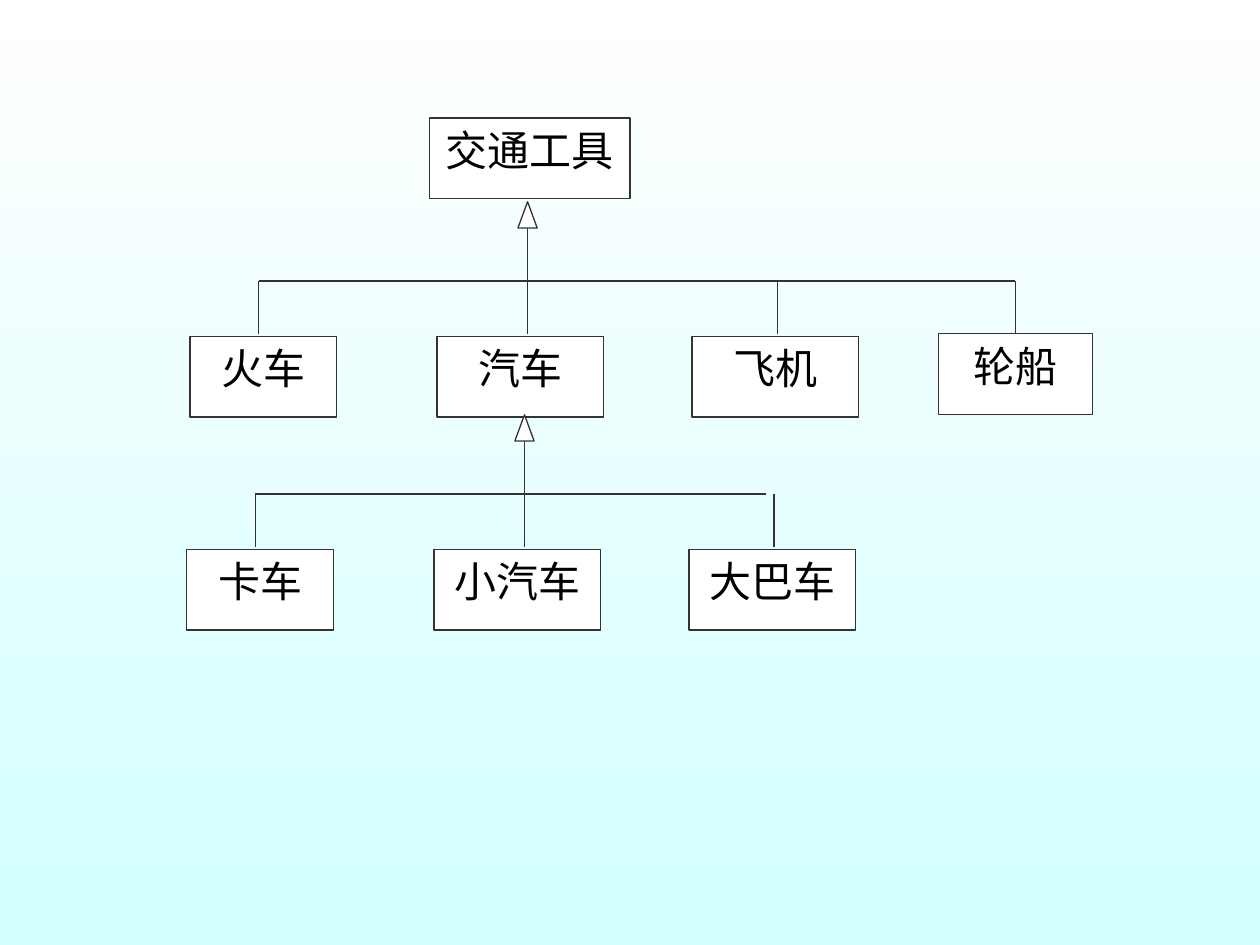
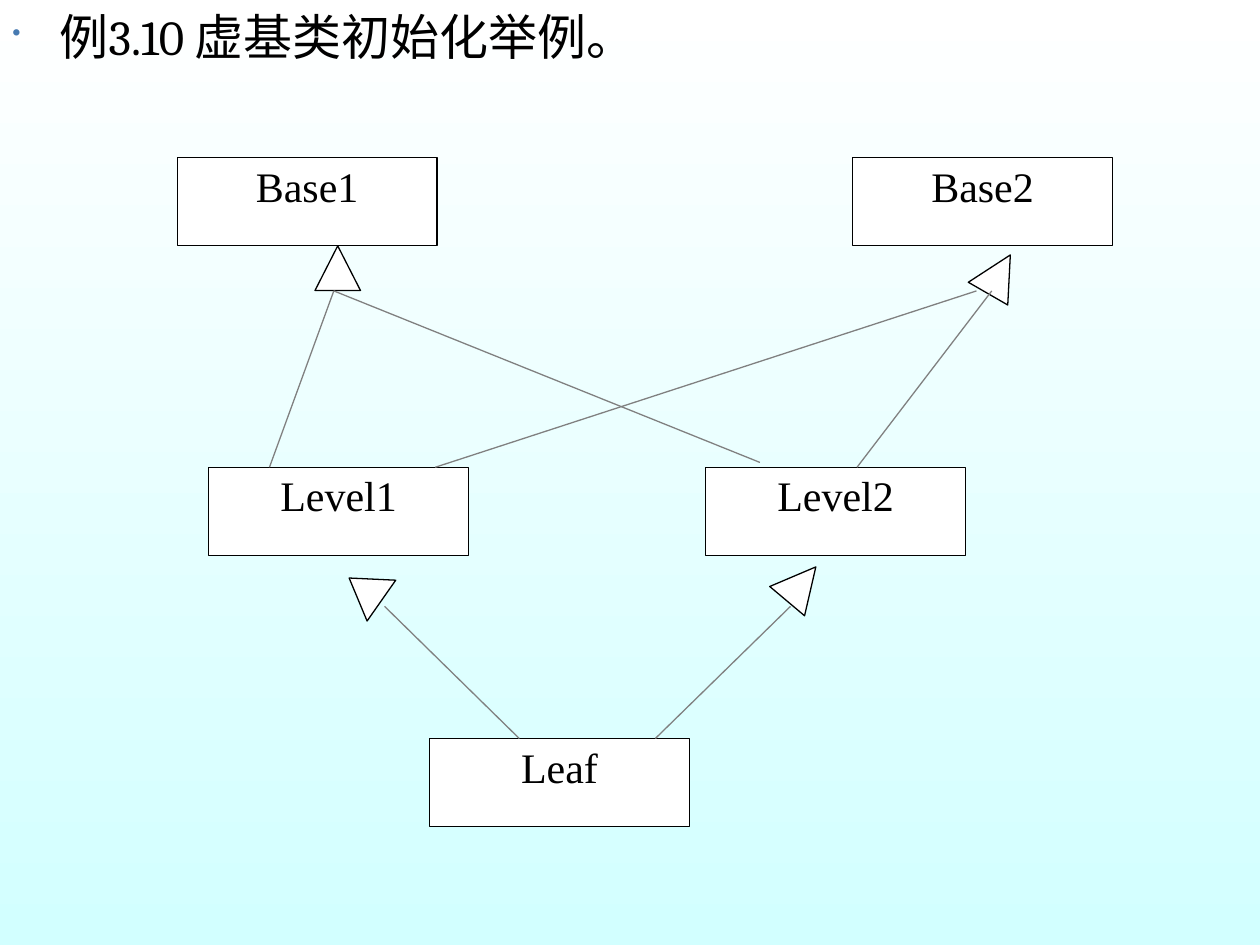
import lxml.etree
import pptx
import pptx.dml.color
import pptx.enum.shapes
import pptx.enum.text
import pptx.oxml.ns
import pptx.util

Pt = pptx.util.Pt
qn = pptx.oxml.ns.qn
SHAPES = pptx.enum.shapes.MSO_SHAPE

COLORS = {
    "white": "FFFFFF",
    "aqua": "D2FFFF",
    "black": "000000",
    "charcoal": "333333",
    "gray": "808080",
    "bullet": "477AB1",
}
LINE_WIDTH = 0.75
TREE_BOX_HEIGHT = 46
CLASS_BOX_SIZE = (148.5, 50.5)


def rgb(name):
    return pptx.dml.color.RGBColor.from_string(COLORS[name])


def add_gradient_slide(presentation):
    slide = presentation.slides.add_slide(presentation.slide_layouts[6])
    fill = slide.background.fill
    fill.gradient()
    fill.gradient_angle = 270
    for stop, color in zip(fill.gradient_stops, ("white", "aqua")):
        stop.color.rgb = rgb(color)
    return slide


def add_run(paragraph, text, font, size):
    run = paragraph.add_run()
    run.text = text
    run.font.name = font
    run.font.size = Pt(size)
    run.font.color.rgb = rgb("black")


def add_outlined(slide, kind, left, top, width, height, outline, rotation=0):
    shape = slide.shapes.add_shape(kind, Pt(left), Pt(top), Pt(width), Pt(height))
    shape.shadow.inherit = False
    shape.rotation = rotation
    shape.fill.solid()
    shape.fill.fore_color.rgb = rgb("white")
    shape.line.color.rgb = rgb(outline)
    shape.line.width = Pt(LINE_WIDTH)
    return shape


def add_box(slide, label, left, top, width, height, outline, font, inset):
    """Add a white rectangle whose label is centred at its top edge."""
    box = add_outlined(slide, SHAPES.RECTANGLE, left, top, width, height, outline)
    frame = box.text_frame
    frame.word_wrap = True
    frame.vertical_anchor = pptx.enum.text.MSO_ANCHOR.TOP
    frame.margin_left = frame.margin_right = Pt(7.2)
    frame.margin_top = frame.margin_bottom = Pt(inset)
    paragraph = frame.paragraphs[0]
    paragraph.alignment = pptx.enum.text.PP_ALIGN.CENTER
    add_run(paragraph, label, font, 24)


def add_line(slide, start, end, color):
    line = slide.shapes.add_connector(
        pptx.enum.shapes.MSO_CONNECTOR.STRAIGHT, *map(Pt, start + end))
    line.line.color.rgb = rgb(color)
    line.line.width = Pt(LINE_WIDTH)
    lxml.etree.SubElement(line._element.spPr, qn("a:effectLst"))


def add_tree_box(slide, label, left, top, width):
    add_box(slide, label, left, top, width, TREE_BOX_HEIGHT, "charcoal", "Calibri", 3.6)


def add_subclasses(slide, arrow_top, trunk, bus_right, children):
    """Add an arrow, a bus line and children given as (label, left, width, drop x, lift)."""
    bus = arrow_top + 45.25
    drop_bottom = arrow_top + 75.75
    add_line(slide, (children[0][3], bus), (bus_right, bus), "charcoal")
    add_line(slide, (trunk, arrow_top + 14.5), (trunk, bus), "charcoal")
    add_outlined(slide, SHAPES.ISOSCELES_TRIANGLE,
                 trunk - 5.5, arrow_top, 11, 15, "charcoal")
    for label, left, width, drop, lift in children:
        add_line(slide, (drop, bus), (drop, drop_bottom), "charcoal")
        add_tree_box(slide, label, left, arrow_top + 77 - lift, width)


def add_bulleted_title(slide, text):
    box = slide.shapes.add_textbox(Pt(0), Pt(0), Pt(703.5), Pt(50.5))
    box.text_frame.word_wrap = True
    paragraph = box.text_frame.paragraphs[0]
    properties = paragraph._p.get_or_add_pPr()
    properties.set("marL", str(Pt(27)))
    properties.set("indent", str(Pt(-27)))
    bullet_color = lxml.etree.SubElement(properties, qn("a:buClr"))
    lxml.etree.SubElement(bullet_color, qn("a:srgbClr"), val=COLORS["bullet"])
    lxml.etree.SubElement(properties, qn("a:buSzPct"), val="50000")
    lxml.etree.SubElement(properties, qn("a:buChar"), char="•")
    add_run(paragraph, text, "Cambria", 28)


def build_vehicle_slide(presentation):
    slide = add_gradient_slide(presentation)
    add_tree_box(slide, "交通工具", 245.5, 67.5, 114.5)
    add_subclasses(slide, 115.25, 301.5, 580.25, [
        ("火车", 108.5, 84, 147.75, 0),
        ("汽车", 249.75, 95, 301.5, 0),
        ("飞机", 395.5, 95, 444.25, 0),
        ("轮船", 536.5, 88, 580.25, 1.5),
    ])
    add_subclasses(slide, 237, 299.75, 437.75, [
        ("卡车", 106.75, 84, 146, 0),
        ("小汽车", 248, 95, 299.75, 0),
        ("大巴车", 393.75, 95, 442.25, 0),
    ])


def build_virtual_base_slide(presentation):
    slide = add_gradient_slide(presentation)
    add_bulleted_title(slide, "例3.10 虚基类初始化举例。")

    base_top, level_top, leaf_top = 90, 267, 422
    for label, left, top in [
        ("Base1", 101.25, base_top),
        ("Base2", 487.25, base_top),
        ("Level1", 119.25, level_top),
        ("Level2", 403.25, level_top),
        ("Leaf", 245.5, leaf_top),
    ]:
        add_box(slide, label, left, top, *CLASS_BOX_SIZE, "black", "Times New Roman", 1.5)

    for left, top, width, height, rotation in [
        (180, 140.5, 26, 25.5, 0),
        (558, 144, 26, 25.5, 30),
        (194.5, 325.5, 28.5, 22.5, 305),
        (445, 321, 26, 25.5, 40),
    ]:
        add_outlined(slide, SHAPES.FLOWCHART_EXTRACT,
                     left, top, width, height, "black", rotation)

    base_arrow, level_arrow = 166.25, 346.5
    for start, end in [
        ((190.75, base_arrow), (154, level_top)),
        ((190.75, base_arrow), (434.25, 264.25)),
        ((558, base_arrow), (248.75, level_top)),
        ((566.75, base_arrow), (489.75, level_top)),
        ((219.75, level_arrow), (296.75, leaf_top)),
        ((451.75, level_arrow), (374.5, leaf_top)),
    ]:
        add_line(slide, start, end, "gray")


def main():
    presentation = pptx.Presentation()
    presentation.slide_width = Pt(720)
    presentation.slide_height = Pt(540)
    build_vehicle_slide(presentation)
    build_virtual_base_slide(presentation)
    presentation.save("out.pptx")


if __name__ == "__main__":
    main()
